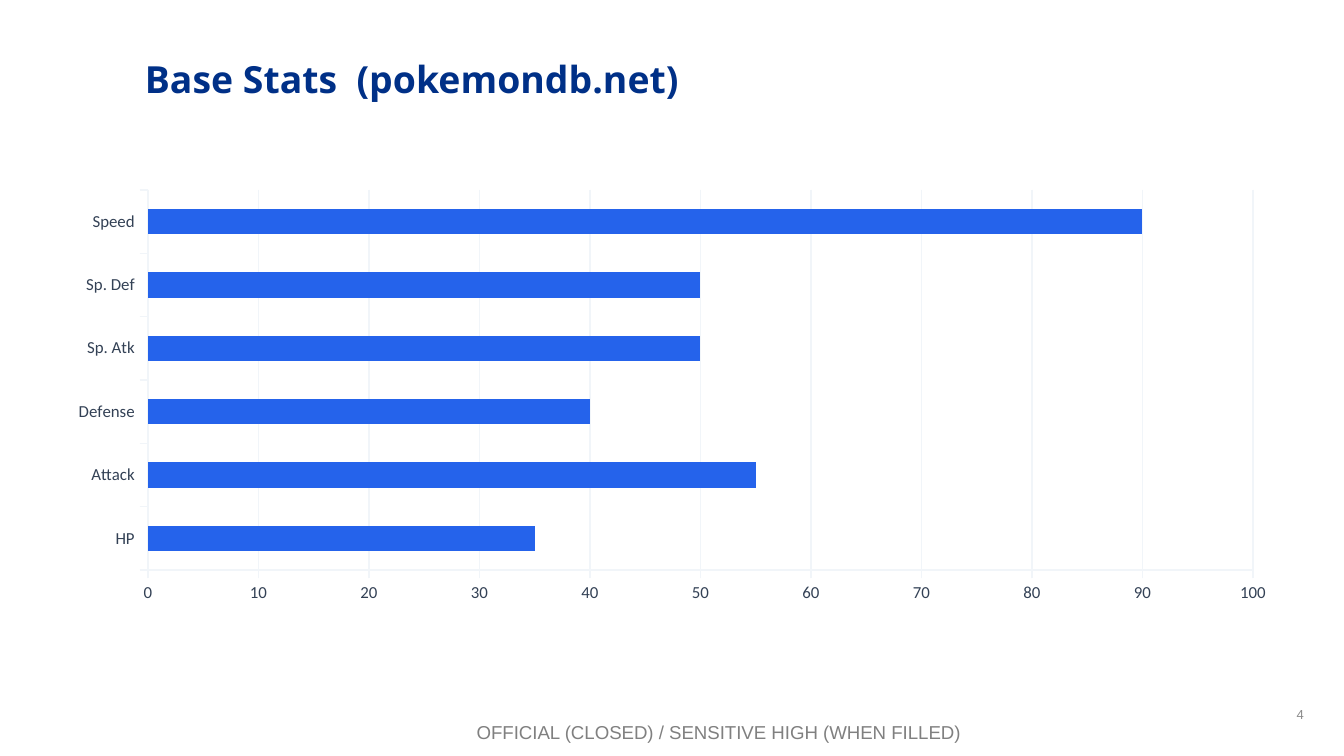
from dataclasses import dataclass

import pptx
import pptx.chart.data
import pptx.dml.color
import pptx.enum.chart
import pptx.enum.text
import pptx.util

Cm = pptx.util.Cm
Pt = pptx.util.Pt
ALIGN = pptx.enum.text.PP_ALIGN
ANCHOR = pptx.enum.text.MSO_ANCHOR


@dataclass
class Label:
    text: str
    left: float
    top: float
    width: float
    height: float
    font: str
    size: float
    color: str
    align: ALIGN = ALIGN.LEFT
    anchor: ANCHOR = ANCHOR.TOP
    bold: bool = False


LABELS = [
    Label("4", 18.97, 13.13, 5.92, 0.76, "Arial", 7, "8C8C8C",
          align=ALIGN.RIGHT, anchor=ANCHOR.MIDDLE),
    Label("OFFICIAL (CLOSED) / SENSITIVE HIGH (WHEN FILLED)",
          1.73, 13.51, 23.7, 0.69, "Arial", 10, "808080", align=ALIGN.CENTER),
    Label("Base Stats  (pokemondb.net)",
          2.49, 0.94, 22, 2, "Open Sans", 20, "003087", bold=True),
]

STATS = {"HP": 35, "Attack": 55, "Defense": 40,
         "Sp. Atk": 50, "Sp. Def": 50, "Speed": 90}


def rgb(color: str) -> pptx.dml.color.RGBColor:
    return pptx.dml.color.RGBColor.from_string(color)


def set_font(font, name: str, size: float, color: str, bold: bool = False) -> None:
    font.name = name
    font.size = Pt(size)
    font.bold = bold
    font.color.rgb = rgb(color)


def set_line(line, color: str, width: float) -> None:
    line.color.rgb = rgb(color)
    line.width = Pt(width)


def add_label(slide, label: Label) -> None:
    sp = slide.shapes.add_textbox(Cm(label.left), Cm(label.top),
                                  Cm(label.width), Cm(label.height))
    tf = sp.text_frame
    tf.word_wrap = True
    tf.vertical_anchor = label.anchor
    tf.text = label.text
    p = tf.paragraphs[0]
    p.alignment = label.align
    set_font(p.runs[0].font, label.font, label.size, label.color, label.bold)


def style_axis(axis) -> None:
    set_font(axis.tick_labels.font, "Calibri", 9, "334155")
    set_line(axis.format.line, "F1F5F9", 0.75)
    axis.major_tick_mark = pptx.enum.chart.XL_TICK_MARK.OUTSIDE


def add_stats_chart(slide, stats: dict[str, int]) -> None:
    data = pptx.chart.data.CategoryChartData()
    data.categories = list(stats)
    data.add_series("Series 1", list(stats.values()))
    chart = slide.shapes.add_chart(
        pptx.enum.chart.XL_CHART_TYPE.BAR_CLUSTERED,
        Cm(1.02), Cm(3.43), Cm(23.37), Cm(8.13), data).chart
    chart.has_legend = False
    chart.has_title = False
    set_font(chart.font, "Arial", 18, "000000")

    plot = chart.plots[0]
    plot.gap_width = 150
    plot.vary_by_categories = False
    fill = plot.series[0].format.fill
    fill.solid()
    fill.fore_color.rgb = rgb("2563EB")

    style_axis(chart.category_axis)
    axis = chart.value_axis
    style_axis(axis)
    axis.minimum_scale = 0
    axis.maximum_scale = 100
    axis.major_unit = 10
    axis.has_major_gridlines = True
    set_line(axis.major_gridlines.format.line, "F1F5F9", 0.75)


def main() -> None:
    prs = pptx.Presentation()
    prs.slide_width = Cm(25.4)
    prs.slide_height = Cm(14.29)
    s = prs.slides.add_slide(prs.slide_layouts[6])
    for label in LABELS:
        add_label(s, label)
    add_stats_chart(s, STATS)
    prs.save("out.pptx")


if __name__ == "__main__":
    main()
